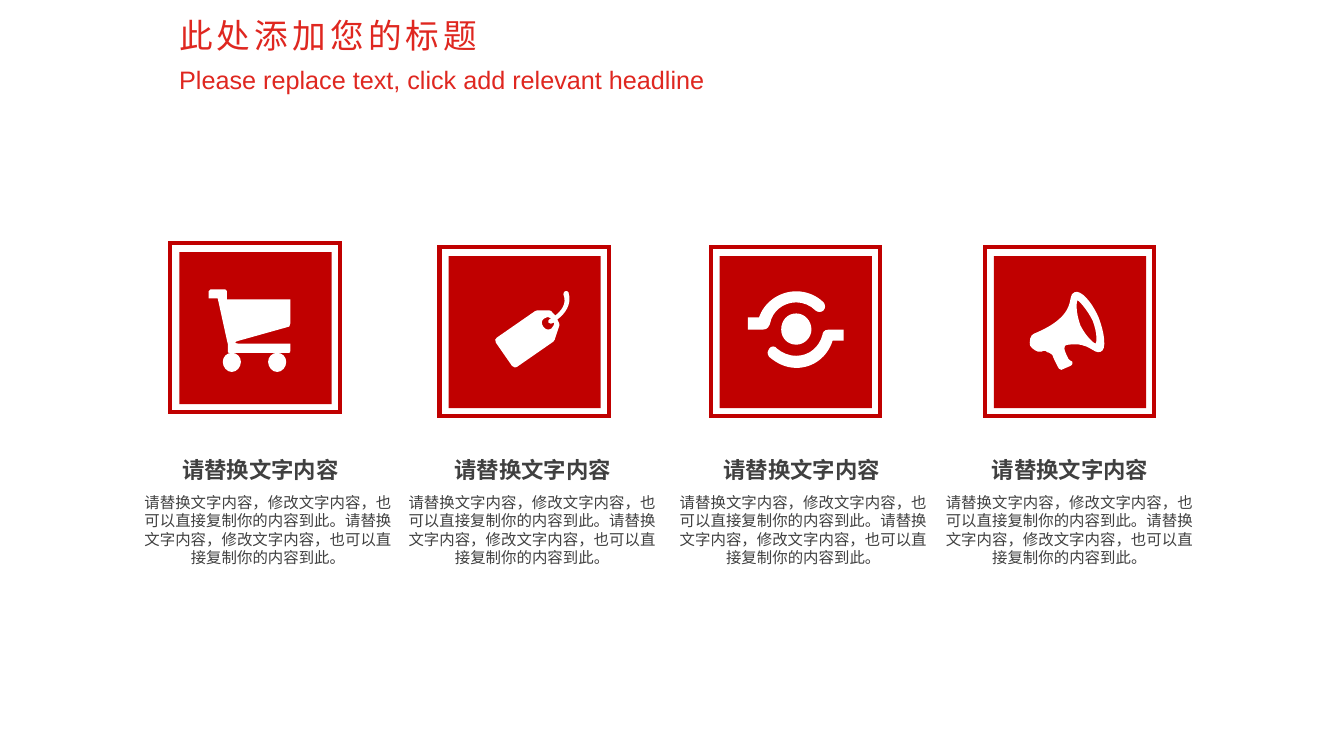
from dataclasses import dataclass

from lxml.etree import SubElement
from pptx import Presentation
from pptx.dml.color import RGBColor
from pptx.enum.shapes import MSO_SHAPE
from pptx.enum.text import MSO_ANCHOR, MSO_AUTO_SIZE, PP_ALIGN
from pptx.oxml.ns import qn
from pptx.shapes.autoshape import Shape
from pptx.shapes.shapetree import GroupShapes
from pptx.slide import Slide
from pptx.util import Inches, Pt

CRIMSON = RGBColor(0xC0, 0x00, 0x00)
TITLE_RED = RGBColor(0xDF, 0x27, 0x20)
DARK_GRAY = RGBColor(0x40, 0x40, 0x40)
WHITE = RGBColor(0xFF, 0xFF, 0xFF)

HEADING = "请替换文字内容"
BODY = "请替换文字内容，修改文字内容，也可以直接复制你的内容到此。" * 2
FRAME_SIZE = 1.68
PANEL_SIZE = 1.51
PANEL_INSET = 0.09

TITLE_FORMAT = {"size": Pt(24), "name": "Arial"}
SUBTITLE_FORMAT = {"size": Pt(18), "name": "Arial"}
HEADING_FORMAT = {"size": Pt(16), "name": "Arial", "bold": True}
BODY_FORMAT = {"size": Pt(11), "name": "Arial"}

CART = (
    "M 2.37,3.38 L 2.87,3.24 C 2.88,3.23 2.88,3.22 2.88,3.21 L 2.88,2.97 2.25,2.97 2.25,2.89 "
    "C 2.25,2.88 2.24,2.87 2.23,2.87 L 2.09,2.87 C 2.08,2.87 2.07,2.88 2.07,2.89 "
    "L 2.07,2.96 2.16,2.96 2.25,3.37 2.26,3.41 2.26,3.48 C 2.26,3.49 2.26,3.5 2.27,3.5 "
    "L 2.3,3.5 2.75,3.5 2.87,3.5 C 2.88,3.5 2.88,3.49 2.88,3.48 L 2.88,3.41 2.38,3.41 "
    "C 2.32,3.41 2.32,3.39 2.37,3.38",
    "M 2.66,3.59 C 2.66,3.64 2.7,3.69 2.75,3.69 2.8,3.69 2.84,3.64 2.84,3.59 "
    "2.84,3.54 2.8,3.5 2.75,3.5 2.7,3.5 2.66,3.54 2.66,3.59",
    "M 2.21,3.59 C 2.21,3.64 2.25,3.69 2.3,3.69 2.35,3.69 2.39,3.64 2.39,3.59 "
    "2.39,3.54 2.35,3.5 2.3,3.5 2.25,3.5 2.21,3.54 2.21,3.59",
)
TAG = (
    "M 5.47,3.26 C 5.44,3.28 5.41,3.27 5.39,3.24 5.37,3.21 5.37,3.18 5.4,3.16 "
    "5.42,3.14 5.45,3.14 5.47,3.16 5.46,3.16 5.45,3.17 5.45,3.17 "
    "5.44,3.17 5.44,3.19 5.44,3.2 5.45,3.21 5.45,3.21 5.46,3.21 "
    "5.47,3.21 5.47,3.21 5.47,3.21 5.48,3.21 5.49,3.2 5.5,3.2 5.5,3.22 5.49,3.24 5.47,3.26",
    "M 5.64,2.9 C 5.63,2.89 5.62,2.88 5.61,2.89 5.6,2.89 5.59,2.9 5.59,2.92 "
    "5.63,3.02 5.56,3.09 5.51,3.13 L 5.48,3.1 C 5.48,3.09 5.46,3.08 5.45,3.08 "
    "L 5.33,3.08 C 5.32,3.08 5.3,3.09 5.29,3.1 L 4.93,3.35 C 4.91,3.36 4.91,3.38 4.92,3.4 "
    "L 5.08,3.63 C 5.1,3.65 5.12,3.65 5.13,3.64 L 5.49,3.39 C 5.5,3.38 5.51,3.36 5.51,3.35 "
    "L 5.55,3.23 C 5.55,3.22 5.55,3.2 5.54,3.19 L 5.53,3.17 C 5.6,3.12 5.68,3.02 5.64,2.9",
)
CYCLE = (
    "M 8.22,3.27 C 8.17,3.27 8.16,3.31 8.16,3.32 8.13,3.44 8.03,3.53 7.9,3.53 "
    "7.82,3.53 7.76,3.5 7.71,3.46 7.69,3.43 7.65,3.43 7.63,3.46 "
    "7.61,3.48 7.61,3.51 7.63,3.54 7.7,3.6 7.79,3.65 7.9,3.65 "
    "8.07,3.65 8.21,3.54 8.26,3.38 L 8.37,3.38 8.37,3.27 C 8.37,3.27 8.22,3.27 8.22,3.27",
    "M 7.64,3.21 C 7.66,3.09 7.77,3 7.9,3 7.97,3 8.04,3.03 8.09,3.08 "
    "8.11,3.1 8.15,3.1 8.17,3.08 8.19,3.06 8.19,3.02 8.17,3 8.1,2.93 8,2.89 7.9,2.89 "
    "7.73,2.89 7.58,3 7.53,3.15 L 7.42,3.15 7.42,3.27 7.57,3.27 C 7.62,3.27 7.63,3.23 7.64,3.21",
    "M 7.75,3.27 C 7.75,3.35 7.81,3.42 7.9,3.42 7.98,3.42 8.05,3.35 8.05,3.27 "
    "8.05,3.18 7.98,3.11 7.9,3.11 7.81,3.11 7.75,3.18 7.75,3.27",
)
MEGAPHONE = (
    "M 10.87,3.41 C 10.86,3.41 10.78,3.35 10.72,3.23 10.67,3.1 10.68,2.99 10.69,2.98 "
    "10.7,2.98 10.78,3.06 10.84,3.18 10.89,3.31 10.88,3.4 10.87,3.41",
    "M 10.9,3.15 C 10.83,2.99 10.72,2.87 10.66,2.9 10.57,2.93 10.72,3.12 10.26,3.31 "
    "10.22,3.32 10.21,3.39 10.22,3.43 10.24,3.46 10.29,3.5 10.33,3.49 "
    "10.34,3.48 10.37,3.48 10.37,3.48 10.4,3.51 10.42,3.49 10.44,3.52 "
    "10.45,3.55 10.48,3.61 10.49,3.63 10.49,3.65 10.52,3.67 10.53,3.67 "
    "10.55,3.66 10.6,3.64 10.62,3.63 10.64,3.63 10.64,3.61 10.64,3.59 "
    "10.63,3.58 10.6,3.57 10.6,3.56 10.59,3.54 10.56,3.48 10.56,3.46 "
    "10.55,3.44 10.57,3.42 10.6,3.42 10.81,3.39 10.85,3.52 10.92,3.49 "
    "10.98,3.47 10.96,3.31 10.9,3.15",
)


@dataclass(frozen=True)
class Column:
    frame_left: float
    frame_top: float
    heading_left: float
    body_left: float
    icon: tuple[str, ...]


COLUMNS = (
    Column(1.69, 2.41, 1.7, 1.28, CART),
    Column(4.36, 2.45, 4.4, 3.9, TAG),
    Column(7.05, 2.45, 7.07, 6.59, CYCLE),
    Column(9.77, 2.45, 9.73, 9.23, MEGAPHONE),
)


def read_contour(outline: str) -> tuple[list[tuple[int, int]], list[str]]:
    points, commands = [], []
    command = "M"
    for token in outline.split():
        if token in "MLC":
            command = token
        else:
            x, y = map(float, token.split(","))
            points.append((Inches(x), Inches(y)))
            commands.append(command)
    return points, commands[1:]


def bend_segments(shape: Shape, commands: list[str]) -> None:
    segments = list(shape._element.iter(qn("a:lnTo")))
    bent = [segment for segment, command in zip(segments, commands) if command == "C"]
    for first, second, end in zip(*[iter(bent)] * 3):
        first.tag = qn("a:cubicBezTo")
        for segment in (second, end):
            first.append(segment[0])
            segment.getparent().remove(segment)


def paint(shape: Shape, color: RGBColor) -> None:
    shape.shadow.inherit = False
    shape.fill.solid()
    shape.fill.fore_color.rgb = color
    shape.line.fill.background()


def add_square(shapes: GroupShapes, left: float, top: float, size: float) -> Shape:
    return shapes.add_shape(
        MSO_SHAPE.RECTANGLE, Inches(left), Inches(top), Inches(size), Inches(size)
    )


def add_icon(shapes: GroupShapes, outlines: tuple[str, ...]) -> None:
    contours = [read_contour(outline) for outline in outlines]
    builder = shapes.build_freeform(*contours[0][0][0])
    for index, (points, _) in enumerate(contours):
        if index:
            builder.move_to(*points[0])
        builder.add_line_segments(points[1:], close=True)
    icon = builder.convert_to_shape()
    bend_segments(icon, [command for _, commands in contours for command in commands])
    paint(icon, WHITE)


def add_badge(page: Slide, column: Column) -> None:
    shapes = page.shapes.add_group_shape().shapes
    panel = add_square(
        shapes, column.frame_left + PANEL_INSET, column.frame_top + PANEL_INSET, PANEL_SIZE
    )
    paint(panel, CRIMSON)
    frame = add_square(shapes, column.frame_left, column.frame_top, FRAME_SIZE)
    frame.shadow.inherit = False
    frame.fill.background()
    frame.line.color.rgb = CRIMSON
    frame.line.width = Pt(3)
    SubElement(frame.line._get_or_add_ln(), qn("a:miter"), lim="800000")
    add_icon(shapes, column.icon)


def add_text(page: Slide, bounds: tuple[float, float, float, float], text: str,
             formats: dict, color: RGBColor, align: PP_ALIGN, wrap: bool = True) -> Shape:
    box = page.shapes.add_textbox(*map(Inches, bounds))
    box.text_frame.word_wrap = wrap
    box.text_frame.auto_size = MSO_AUTO_SIZE.SHAPE_TO_FIT_TEXT
    para = box.text_frame.paragraphs[0]
    para.alignment = align
    span = para.add_run()
    span.text = text
    for name, value in formats.items():
        setattr(span.font, name, value)
    span.font.color.rgb = color
    return box


def main() -> None:
    deck = Presentation()
    deck.slide_width, deck.slide_height = Inches(40 / 3), Inches(7.5)
    page = deck.slides.add_slide(deck.slide_layouts[6])
    for column in COLUMNS:
        add_text(page, (column.heading_left, 4.48, 1.77, 0.37), HEADING,
                 HEADING_FORMAT, DARK_GRAY, PP_ALIGN.CENTER, wrap=False)
    for column in COLUMNS:
        add_text(page, (column.body_left, 4.84, 2.76, 0.84), BODY,
                 BODY_FORMAT, DARK_GRAY, PP_ALIGN.CENTER)
    for column in COLUMNS:
        add_badge(page, column)
    title = add_text(page, (1.68, 0.04, 8.44, 0.54), "此处添加您的标题",
                     TITLE_FORMAT, TITLE_RED, PP_ALIGN.LEFT)
    title.text_frame.vertical_anchor = MSO_ANCHOR.MIDDLE
    para = title.text_frame.paragraphs[0]
    para.line_spacing = 1.2
    para.runs[0]._r.get_or_add_rPr().set("spc", "300")
    add_text(page, (1.68, 0.59, 5.46, 0.4), "Please replace text, click add relevant headline",
             SUBTITLE_FORMAT, TITLE_RED, PP_ALIGN.LEFT, wrap=False)
    deck.save("out.pptx")


if __name__ == "__main__":
    main()
